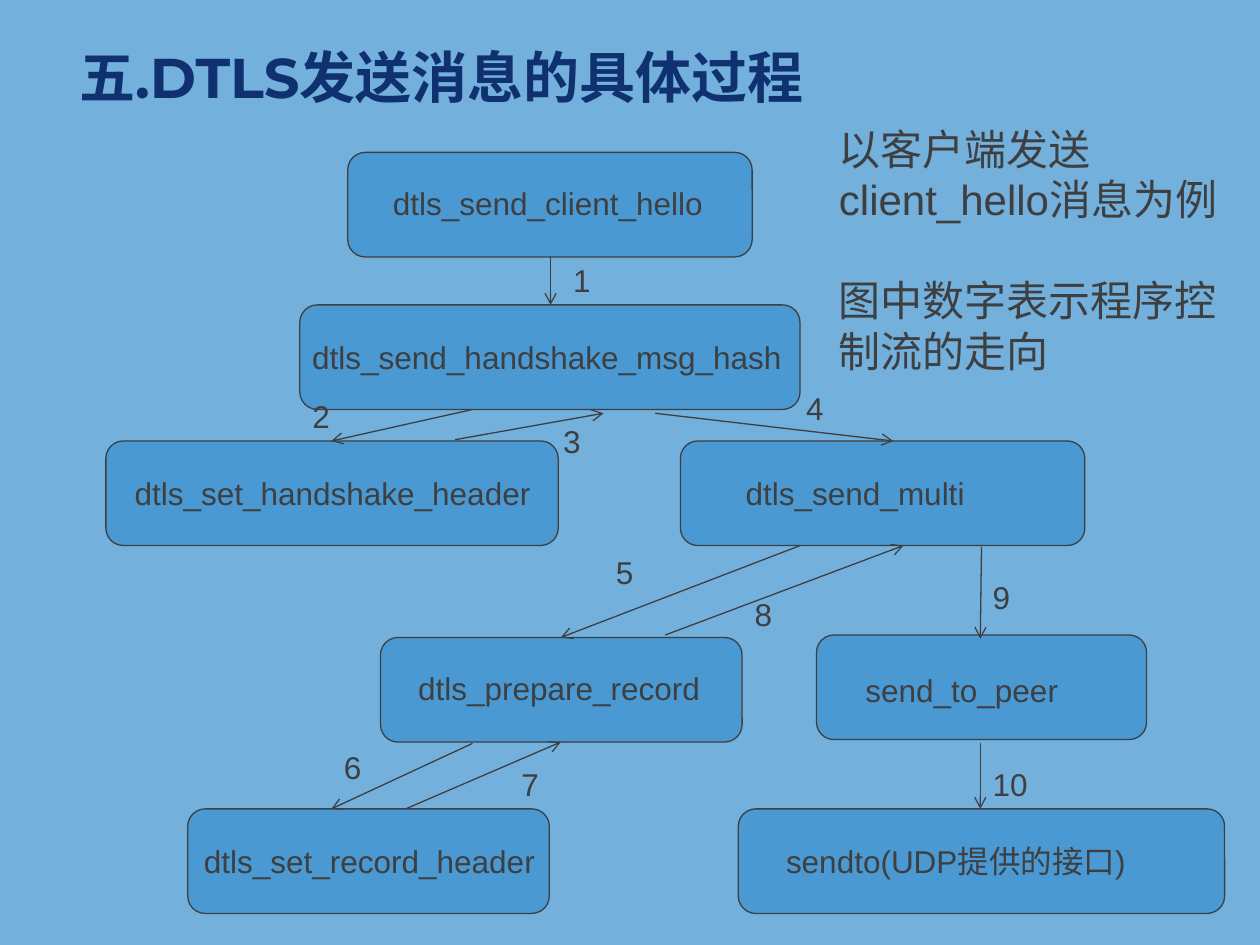
from dataclasses import dataclass

from lxml.etree import SubElement
from pptx import Presentation
from pptx.dml.color import RGBColor
from pptx.enum.shapes import MSO_CONNECTOR, MSO_SHAPE
from pptx.enum.text import MSO_ANCHOR
from pptx.oxml.ns import qn
from pptx.util import Inches, Pt

COLS, ROWS = 100, 75
WIDTH, HEIGHT = Inches(10), Inches(7.5)
HUES = {"back": "73B0DC", "box": "0070C0", "ink": "3D3F41", "title": "103170"}
BOX_TALL, TEXT_TALL = 8.3, 4
TIERS = (12.1, 24.2, 35, 50.6, 64.2)


@dataclass
class Node:
    text: str
    left: float
    top: float
    wide: float
    text_left: float
    text_wide: float
    drop: float = 2.1


@dataclass
class Step:
    start: tuple[float, float]
    end: tuple[float, float]
    mark: tuple[float, float]
    wide: float = 4.1


NODES = [
    Node("dtls_send_client_hello", 27.6, TIERS[0], 32.1, 30.2, 33.3, 2),
    Node("dtls_send_handshake_msg_hash", 23.8, TIERS[1], 39.7, 23.8, 44.3),
    Node("dtls_set_handshake_header", 8.4, TIERS[2], 35.9, 9.7, 35.9),
    Node("dtls_send_multi", 54, TIERS[2], 32.1, 58.2, 27.9),
    Node("dtls_prepare_record", 30.2, TIERS[3], 28.7, 32.2, 35.9, 2),
    Node("send_to_peer", 64.8, 50.4, 26.2, 67.7, 27.9, 2.4),
    Node("dtls_set_record_header", 14.9, TIERS[4], 28.7, 15.2, 35.9),
    Node("sendto(UDP提供的接口)", 58.6, TIERS[4], 38.6, 61.4, 36.4),
]
STEPS = [
    Step((43.7, 20.3), (43.7, 24.2), (44.5, 20.2)),
    Step((37.5, 32.5), (26.3, 35), (23.8, 31)),
    Step((36.1, 34.9), (47.9, 32.8), (43.7, 33)),
    Step((52, 32.8), (70.9, 35), (63, 30.4)),
    Step((63.5, 43.3), (44.5, 50.6), (47.9, 43.4)),
    Step((37.5, 59), (26.3, 64.2), (26.3, 58.9)),
    Step((32.2, 64.2), (44.5, 58.9), (40.4, 60.2)),
    Step((52.8, 50.4), (71.7, 43.3), (58.9, 46.7)),
    Step((77.9, 43.4), (77.8, 50.7), (77.8, 45.4)),
    Step((77.8, 59), (77.8, 64.2), (77.8, 60.2), 7.8),
]
NOTES = ["以客户端发送client_hello消息为例", "图中数字表示程序控制流的走向"]


def hue(name: str) -> RGBColor:
    return RGBColor.from_string(HUES[name])


def col(n: float) -> int:
    return round(WIDTH * n / COLS)


def row(n: float) -> int:
    return round(HEIGHT * n / ROWS)


def add_text(slide, lines: list[str], left: float, top: float, wide: float,
             tall: float = TEXT_TALL, size: int = 18, font: str = "Arial",
             ink: str = "ink", bold: bool = False):
    frame = slide.shapes.add_textbox(col(left), row(top), col(wide), row(tall)).text_frame
    frame.word_wrap = True
    frame.text = "\n".join(lines)
    for para in frame.paragraphs:
        para.font.size = Pt(size)
        para.font.name = font
        para.font.bold = bold
        para.font.color.rgb = hue(ink)
    return frame


def add_node(slide, node: Node) -> None:
    box = slide.shapes.add_shape(MSO_SHAPE.ROUNDED_RECTANGLE, col(node.left), row(node.top),
                                 col(node.wide), row(BOX_TALL))
    box.shadow.inherit = False
    box.fill.solid()
    box.fill.fore_color.rgb = hue("box")
    tint = box.fill._xPr.find(qn("a:solidFill"))[0]
    SubElement(tint, qn("a:alpha"), val="35000")
    box.line.color.rgb = hue("ink")
    box.line.width = Pt(0.75)
    add_text(slide, [node.text], node.text_left, node.top + node.drop, node.text_wide)


def add_step(slide, label: str, step: Step) -> None:
    (x, y), (to_x, to_y) = step.start, step.end
    line = slide.shapes.add_connector(MSO_CONNECTOR.STRAIGHT, col(x), row(y), col(to_x), row(to_y))
    line.line.color.rgb = hue("ink")
    line.line.width = Pt(0.75)
    SubElement(line.line._get_or_add_ln(), qn("a:tailEnd"), type="arrow")
    SubElement(line._element.spPr, qn("a:effectLst"))
    add_text(slide, [label], *step.mark, step.wide)


def main() -> None:
    deck = Presentation()
    deck.slide_width, deck.slide_height = WIDTH, HEIGHT
    slide = deck.slides.add_slide(deck.slide_layouts[6])
    slide.background.fill.solid()
    slide.background.fill.fore_color.rgb = hue("back")

    title = add_text(slide, ["五.DTLS发送消息的具体过程"], 5.3, 2.5, 84.4, 6.8,
                     32, "Montserrat", "title", True)
    title.vertical_anchor = MSO_ANCHOR.BOTTOM
    title.paragraphs[0].line_spacing = 0.9

    for node in NODES:
        add_node(slide, node)
    for count, step in enumerate(STEPS, 1):
        add_step(slide, str(count), step)

    notes = add_text(slide, NOTES, 65.6, 9.3, 32.1, 37.4, 24)
    notes.paragraphs[1].space_before = Pt(29)
    deck.save("out.pptx")


if __name__ == "__main__":
    main()
